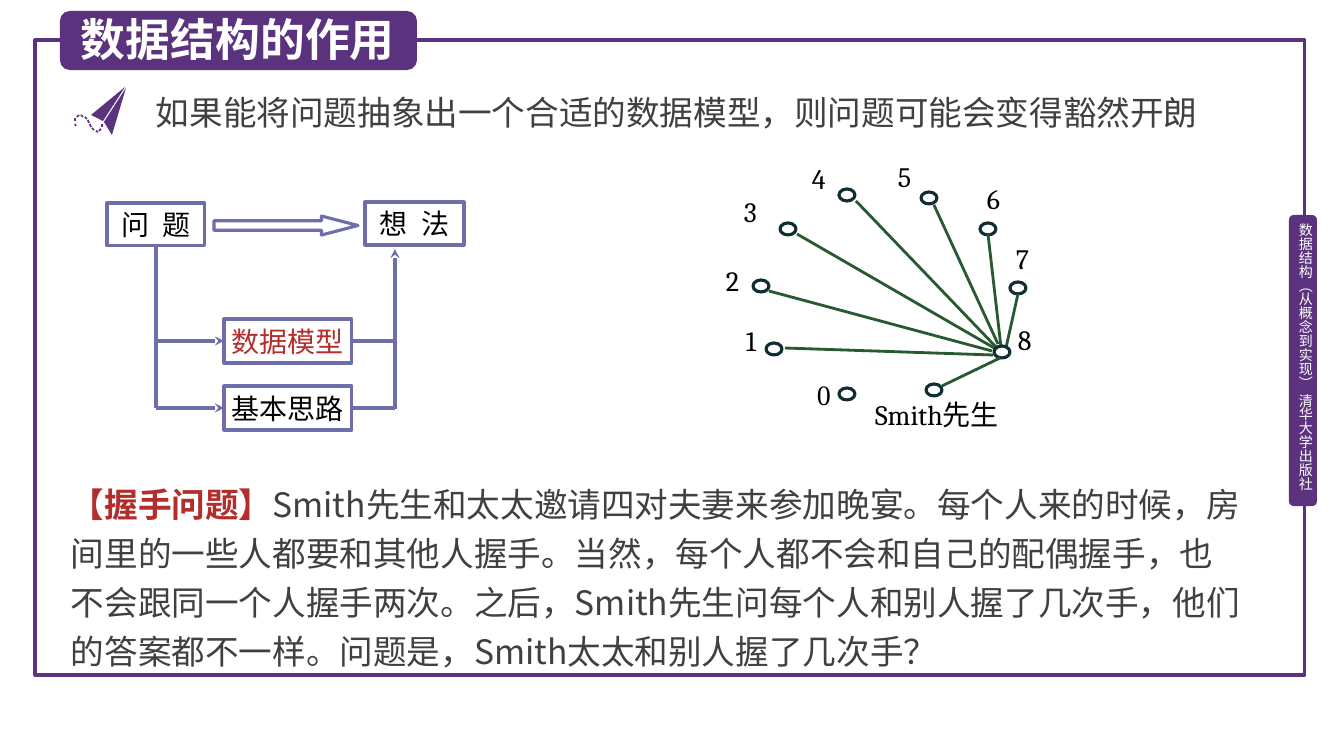
from dataclasses import dataclass

from lxml.etree import SubElement
from pptx import Presentation
from pptx.dml.color import RGBColor
from pptx.enum.shapes import MSO_CONNECTOR, MSO_SHAPE
from pptx.enum.text import MSO_ANCHOR, PP_ALIGN
from pptx.oxml.ns import qn
from pptx.util import Emu, Pt

SCALE = 12192000 / 1344
TOP, LEFT, BOTTOM, RIGHT = range(4)


@dataclass(frozen=True)
class Theme:
    purple: str = "5A327D"
    flow: str = "6E6EAA"
    red: str = "B42D2D"
    gray: str = "404040"
    black: str = "000000"
    white: str = "FFFFFF"
    node: str = "102C34"
    handshake: str = "285A32"
    sans: str = "Noto Sans CJK SC"
    serif: str = "Cambria"
    zero: str = "Times New Roman"
    title: int = 32
    body: int = 24
    label: int = 20
    side: int = 10
    stroke: float = 2.25
    thin: float = 2
    dash: float = 1.25


def px(*lengths):
    return [Emu(round(n * SCALE)) for n in lengths]


class Page:
    def __init__(self, prs, theme):
        self.theme = theme
        self.shapes = prs.slides.add_slide(prs.slide_layouts[6]).shapes

    def paint(self, sp, fill=None, line=None):
        sp.shadow.inherit = False
        if fill:
            sp.fill.solid()
            sp.fill.fore_color.rgb = RGBColor.from_string(fill)
        else:
            sp.fill.background()
        if line:
            sp.line.color.rgb = RGBColor.from_string(line)
            sp.line.width = Pt(self.theme.stroke)
        else:
            sp.line.fill.background()
        return sp

    def shape(self, kind, box, fill=None, line=None):
        return self.paint(self.shapes.add_shape(kind, *px(*box)), fill, line)

    def polygon(self, points, fill):
        builder = self.shapes.build_freeform(*points[0], scale=SCALE)
        builder.add_line_segments(points[1:], close=True)
        return self.paint(builder.convert_to_shape(), fill)

    def set_text(self, sp, text, size, color, font=None, insets=(10, 5), spacing=0):
        """Fill the frame with one paragraph; East Asian text is always sans."""
        tf = sp.text_frame
        tf.word_wrap = True
        tf.margin_left, tf.margin_top = px(*insets)
        tf.margin_right, tf.margin_bottom = px(*insets)
        p = tf.paragraphs[0]
        p.add_run().text = text
        p.font.name = font or self.theme.sans
        p.font.size = Pt(size)
        p.font.color.rgb = RGBColor.from_string(color)
        props = p._p.get_or_add_pPr().find(qn("a:defRPr"))
        SubElement(props, qn("a:ea")).set("typeface", self.theme.sans)
        if spacing:
            props.set("spc", str(spacing))
        return p

    def text(self, box, text, size, color, **style):
        return self.set_text(self.shapes.add_textbox(*px(*box)), text, size, color, **style)

    def flow_box(self, box, text, color, spacing=0):
        sp = self.shape(MSO_SHAPE.RECTANGLE, box, line=self.theme.flow)
        p = self.set_text(sp, text, self.theme.label, color, insets=(6, 1), spacing=spacing)
        p.alignment = PP_ALIGN.CENTER
        sp.text_frame.vertical_anchor = MSO_ANCHOR.MIDDLE
        return sp

    def line(self, start, end, color, width, arrow=False, begin=None, finish=None):
        """Draw a line; begin and finish are (shape, side) pairs to join."""
        cx = self.shapes.add_connector(MSO_CONNECTOR.STRAIGHT, *px(*start, *end))
        if begin:
            cx.begin_connect(*begin)
        if finish:
            cx.end_connect(*finish)
        cx.line.color.rgb = RGBColor.from_string(color)
        cx.line.width = Pt(width)
        props = cx._element.spPr
        if arrow:
            SubElement(props.find(qn("a:ln")), qn("a:tailEnd")).set("type", "stealth")
        SubElement(props, qn("a:effectLst"))


def draw_frame(page, t):
    page.shape(MSO_SHAPE.RECTANGLE, (35, 40, 1270, 635), line=t.purple)
    page.shape(MSO_SHAPE.ROUNDED_RECTANGLE, (1289, 215, 28, 291), fill=t.purple)
    side = page.shapes.add_textbox(*px(1297, 223, 17, 283))
    page.set_text(side, "数据结构（从概念到实现） 清华大学出版社", t.side, t.white, insets=(0, 0))
    side._element.txBody.bodyPr.set("vert", "eaVert")
    page.shape(MSO_SHAPE.ROUNDED_RECTANGLE, (60, 11, 357, 59), fill=t.purple)
    page.text((71, 7, 345, 65), "数据结构的作用", t.title, t.white).font.bold = True


def draw_paper_plane(page, t):
    page.polygon([(126, 88), (112, 135), (104, 122)], t.purple)
    page.polygon([(125, 87), (103, 121), (91, 115)], t.purple)
    trail = [
        (102, 124, 102, 127), (101, 129, 99, 131), (98, 132, 96, 131),
        (94, 130, 92, 128), (91, 127, 90, 124), (89, 123, 88, 120),
        (87, 119, 85, 117), (83, 117, 81, 115), (79, 115, 77, 117),
        (75, 118, 75, 121), (75, 124, 76, 126),
    ]
    for x1, y1, x2, y2 in trail:
        page.line((x1, y1), (x2, y2), t.purple, t.dash)


def draw_flow(page, t):
    trunk_x, return_x = 156, 395
    problem = page.flow_box((107, 203, 98, 43), "问 题", t.black, spacing=250)
    page.flow_box((365, 202, 99, 43), "想 法", t.black, spacing=250)
    arrow = page.shape(MSO_SHAPE.RIGHT_ARROW, (214, 216, 144, 19), line=t.flow)
    arrow.adjustments[1] = 1.92
    page.line((trunk_x, 246), (trunk_x, 408), t.flow, t.stroke, begin=(problem, BOTTOM))
    for text, color, y in [("数据模型", t.red, 341), ("基本思路", t.black, 408)]:
        step = page.flow_box((224, y - 22, 128, 44), text, color)
        page.line((trunk_x, y), (224, y), t.flow, t.stroke, arrow=True, finish=(step, LEFT))
        page.line((352, y), (return_x, y), t.flow, t.stroke, begin=(step, RIGHT))
    page.line((return_x, 409), (return_x, 249), t.flow, t.stroke, arrow=True)


def draw_handshakes(page, t):
    # label, label corner, node corner, handshake line
    guests = [
        ("0", (817, 377), (839, 388), None),
        ("1", (746, 323), (766, 343), (785, 348, 993, 355)),
        ("2", (726, 263), (753, 280), (769, 291, 992, 351)),
        ("3", (744, 194), (780, 223), (797, 234, 996, 349)),
        ("4", (812, 161), (839, 189), (856, 201, 996, 347)),
        ("5", (898, 159), (921, 192), (934, 205, 998, 344)),
        ("6", (987, 181), (980, 223), (988, 234, 1001, 347)),
        ("7", (1016, 241), (1010, 282), (1018, 294, 1006, 348)),
        ("8", (1018, 322), (994, 346), None),
        ("Smith先生", (875, 397), (926, 384), (942, 386, 1000, 358)),
    ]
    for name, corner, node, shake in guests:
        width = 20 if name.isdigit() else 148
        page.text((*corner, width, 38), name, t.label, t.black,
                  font=t.zero if name == "0" else t.serif, insets=(0, 1))
        page.shape(MSO_SHAPE.OVAL, (*node, 16, 12), line=t.node)
        if shake:
            page.line(shake[:2], shake[2:], t.handshake, t.thin)


def draw_puzzle(page, t):
    p = page.text((61, 470, 1190, 204), "【握手问题】", t.body, t.gray)
    p.line_spacing = Pt(35)
    heading = p.runs[0].font
    heading.bold = True
    heading.color.rgb = RGBColor.from_string(t.red)
    p.add_run().text = (
        "Smith先生和太太邀请四对夫妻来参加晚宴。每个人来的时候，"
        "房间里的一些人都要和其他人握手。当然，每个人都不会和自己的配偶握手，"
        "也不会跟同一个人握手两次。之后，Smith先生问每个人和别人握了几次手，"
        "他们的答案都不一样。问题是，Smith太太和别人握了几次手？"
    )


def main():
    prs = Presentation()
    prs.slide_width, prs.slide_height = px(1344, 756)
    t = Theme()
    page = Page(prs, t)
    draw_frame(page, t)
    draw_flow(page, t)
    draw_puzzle(page, t)
    page.text((146, 87, 1085, 51), "如果能将问题抽象出一个合适的数据模型，则问题可能会变得豁然开朗",
              t.body, t.gray)
    draw_paper_plane(page, t)
    draw_handshakes(page, t)
    prs.save("out.pptx")


if __name__ == "__main__":
    main()
